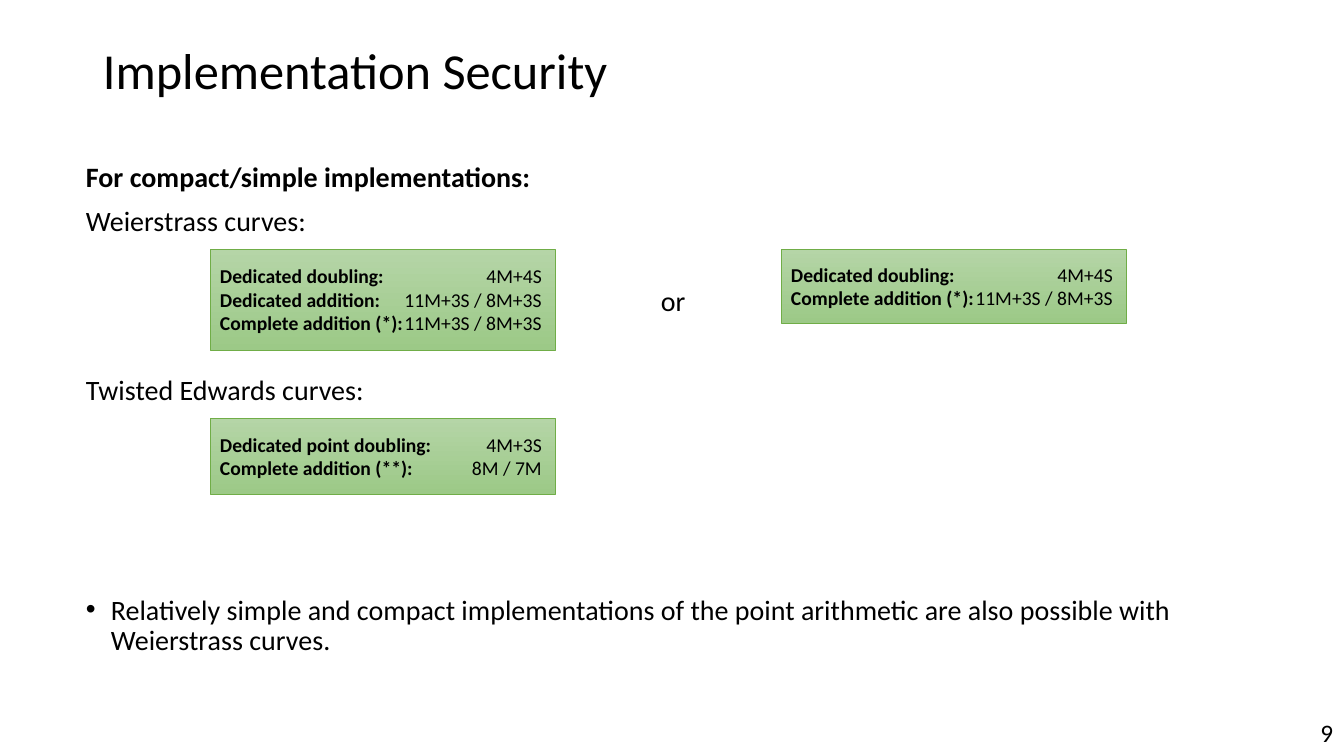
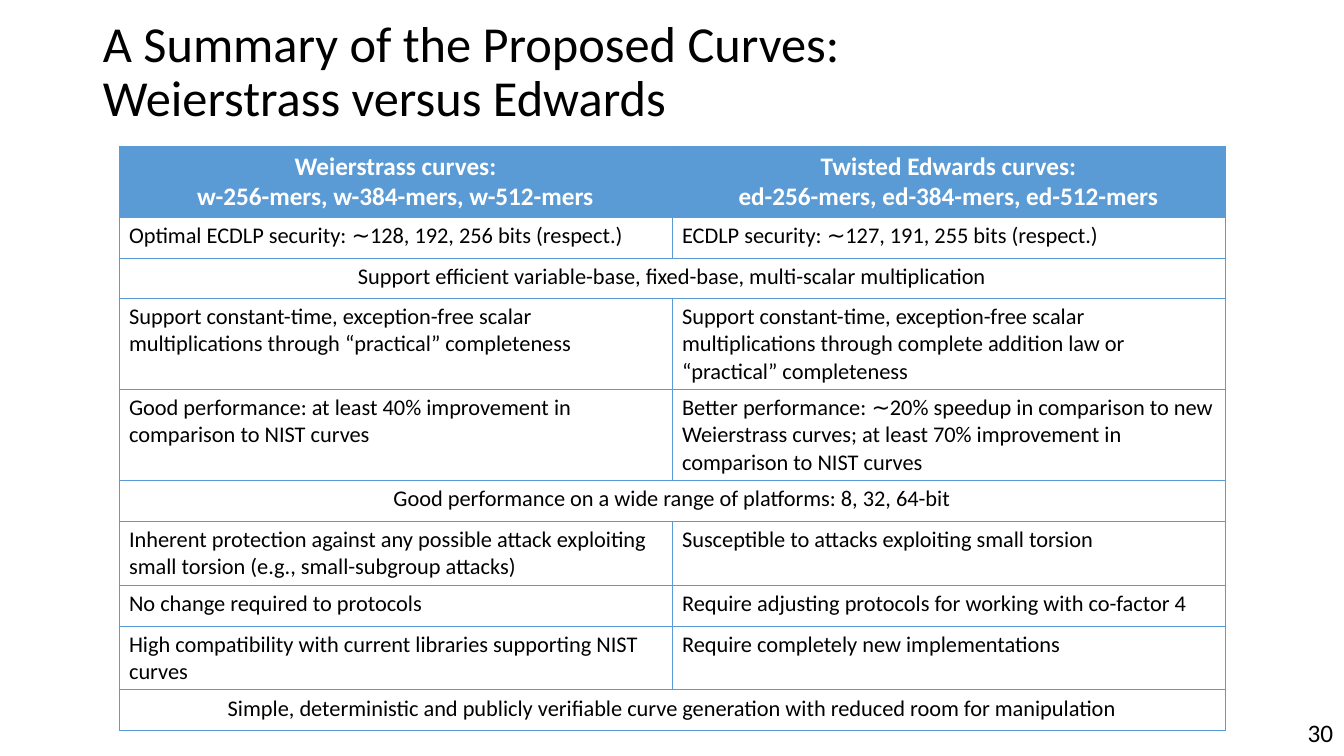
from dataclasses import dataclass

from lxml import etree
from pptx import Presentation
from pptx import util as u
from pptx.dml.color import RGBColor
from pptx.enum import shapes, text
from pptx.oxml import ns

SLIDE_WIDTH, SLIDE_HEIGHT = 1344, 756
SCALE = 12192000 / SLIDE_WIDTH


@dataclass(frozen=True)
class Theme:
    font: str = "Calibri"
    ink: str = "000000"
    paper: str = "FFFFFF"
    blue: str = "5B9BD5"
    green: str = "70AD47"
    card_top: str = "B5D5A7"
    card_bottom: str = "9CC987"
    title: int = 36
    body: int = 20
    small: int = 18
    cell: int = 16
    card: int = 14
    tight: float = 0.9
    gap: int = 10
    hairline: float = 0.5


THEME = Theme()
COSTS_WEIERSTRASS = "11M+3S / 8M+3S"
CARD_WIDTH, CARD_TAB, CARD_LEFT = 345, 322, 210

CARDS = [
    (CARD_LEFT, 249, 101, [
        ("Dedicated doubling:", "4M+4S"),
        ("Dedicated addition:", COSTS_WEIERSTRASS),
        ("Complete addition (*):", COSTS_WEIERSTRASS),
    ]),
    (781, 249, 74, [
        ("Dedicated doubling:", "4M+4S"),
        ("Complete addition (*):", COSTS_WEIERSTRASS),
    ]),
    (CARD_LEFT, 418, 76, [
        ("Dedicated point doubling:", "4M+3S"),
        ("Complete addition (**):", "8M / 7M"),
    ]),
]

CURVE_HEADINGS = [
    "Weierstrass curves:\nw-256-mers, w-384-mers, w-512-mers",
    "Twisted Edwards curves:\ned-256-mers, ed-384-mers, ed-512-mers",
]
ROW_HEIGHTS = [71, 41, 40, 91, 91, 41, 64, 41, 63, 41]
CURVE_ROWS = [
    ["Optimal ECDLP security: ∼128, 192, 256 bits (respect.)",
     "ECDLP security: ∼127, 191, 255 bits (respect.)"],
    ["Support efficient variable-base, fixed-base, multi-scalar multiplication"],
    ["Support constant-time, exception-free scalar multiplications through “practical” completeness",
     "Support constant-time, exception-free scalar multiplications through complete addition law or "
     "“practical” completeness"],
    ["Good performance: at least 40% improvement in comparison to NIST curves",
     "Better performance: ∼20% speedup in comparison to new Weierstrass curves; "
     "at least 70% improvement in comparison to NIST curves"],
    ["Good performance on a wide range of platforms: 8, 32, 64-bit"],
    ["Inherent protection against any possible attack exploiting small torsion "
     "(e.g., small-subgroup attacks)",
     "Susceptible to attacks exploiting small torsion"],
    ["No change required to protocols",
     "Require adjusting protocols for working with co-factor 4"],
    ["High compatibility with current libraries supporting NIST curves",
     "Require completely new implementations"],
    ["Simple, deterministic and publicly verifiable curve generation "
     "with reduced room for manipulation"],
]


def px(length):
    return u.Emu(round(length * SCALE))


def rgb(value):
    return RGBColor.from_string(value)


def format_run(run, size, color=THEME.ink, bold=False):
    run.font.name = THEME.font
    run.font.size = u.Pt(size)
    run.font.color.rgb = rgb(color)
    run.font.bold = bold


def format_paragraph(paragraph, size, color=THEME.ink, bold=False, align=text.PP_ALIGN.LEFT):
    paragraph.alignment = align
    for run in paragraph.runs:
        format_run(run, size, color, bold)


def add_text(slide, left, top, width, height, content, size=THEME.body,
             align=text.PP_ALIGN.LEFT, anchor=text.MSO_ANCHOR.TOP):
    frame = slide.shapes.add_textbox(px(left), px(top), px(width), px(height)).text_frame
    frame.word_wrap = True
    frame.vertical_anchor = anchor
    frame.text = content
    for index, paragraph in enumerate(frame.paragraphs):
        paragraph.line_spacing = THEME.tight
        if index:
            paragraph.space_before = u.Pt(THEME.gap)
        format_paragraph(paragraph, size, align=align)
    return frame


def add_bullet(paragraph, indent):
    properties = paragraph._p.get_or_add_pPr()
    properties.set("marL", str(px(indent)))
    properties.set("indent", str(-px(indent)))
    font = etree.SubElement(properties, ns.qn("a:buFont"))
    font.set("typeface", "Arial")
    etree.SubElement(properties, ns.qn("a:buChar")).set("char", "•")


def add_right_tab(paragraph, position):
    tabs = etree.SubElement(paragraph._p.get_or_add_pPr(), ns.qn("a:tabLst"))
    tab = etree.SubElement(tabs, ns.qn("a:tab"))
    tab.set("pos", str(px(position)))
    tab.set("algn", "r")


def add_cost_card(slide, left, top, height, costs):
    card = slide.shapes.add_shape(
        shapes.MSO_SHAPE.RECTANGLE, px(left), px(top), px(CARD_WIDTH), px(height))
    card.shadow.inherit = False
    card.fill.gradient()
    card.fill.gradient_angle = 270
    for stop, color in zip(card.fill.gradient_stops, (THEME.card_top, THEME.card_bottom)):
        stop.color.rgb = rgb(color)
    card.line.color.rgb = rgb(THEME.green)
    card.line.width = u.Pt(THEME.hairline)
    frame = card.text_frame
    frame.word_wrap = True
    frame.vertical_anchor = text.MSO_ANCHOR.MIDDLE
    for index, (label, cost) in enumerate(costs):
        paragraph = frame.add_paragraph() if index else frame.paragraphs[0]
        add_right_tab(paragraph, CARD_TAB)
        paragraph.alignment = text.PP_ALIGN.LEFT
        for content, bold in ((label, True), ("\t" + cost, False)):
            run = paragraph.add_run()
            run.text = content
            format_run(run, THEME.card, bold=bold)


def add_borders(cell):
    properties = cell._tc.get_or_add_tcPr()
    for side in ("a:lnL", "a:lnR", "a:lnT", "a:lnB"):
        line = etree.SubElement(properties, ns.qn(side))
        line.set("w", str(u.Pt(THEME.hairline)))
        fill = etree.SubElement(line, ns.qn("a:solidFill"))
        etree.SubElement(fill, ns.qn("a:srgbClr")).set("val", THEME.blue)


def fill_cell(cell, content, size, color, bold, align):
    cell.text = content
    for paragraph in cell.text_frame.paragraphs:
        format_paragraph(paragraph, size, color, bold, align)


def add_curve_table(slide, left, top, width):
    rows = [CURVE_HEADINGS] + CURVE_ROWS
    table = slide.shapes.add_table(
        len(rows), 2, px(left), px(top), px(width), px(sum(ROW_HEIGHTS))).table
    table.horz_banding = False
    for column in table.columns:
        column.width = px(width // 2)
    for index, (contents, height) in enumerate(zip(rows, ROW_HEIGHTS)):
        header = index == 0
        spanning = len(contents) == 1
        table.rows[index].height = px(height)
        cells = list(table.rows[index].cells)
        for cell in cells:
            add_borders(cell)
            cell.fill.solid()
            cell.fill.fore_color.rgb = rgb(THEME.blue if header else THEME.paper)
        if spanning:
            cells[0].merge(cells[1])
        for cell, content in zip(cells, contents):
            fill_cell(cell, content,
                      THEME.small if header else THEME.cell,
                      THEME.paper if header else THEME.ink,
                      header,
                      text.PP_ALIGN.CENTER if header or spanning else text.PP_ALIGN.LEFT)


def add_titled_slide(presentation, title, number):
    slide = presentation.slides.add_slide(presentation.slide_layouts[6])
    add_text(slide, 93, 0, 1159, 146, title, THEME.title, anchor=text.MSO_ANCHOR.MIDDLE)
    add_text(slide, 1283, 716, 60, 40, number, THEME.small, align=text.PP_ALIGN.RIGHT)
    return slide


def add_security_slide(presentation):
    slide = add_titled_slide(presentation, "Implementation Security", "9")
    opening = add_text(slide, 76, 158, 600, 86,
                       "For compact/simple implementations:\nWeierstrass curves:")
    opening.paragraphs[0].runs[0].font.bold = True
    add_text(slide, 651, 282, 60, 40, "or")
    add_text(slide, 76, 371, 600, 40, "Twisted Edwards curves:")
    for card in CARDS:
        add_cost_card(slide, *card)
    conclusion = add_text(
        slide, 76, 591, 1195, 72,
        "Relatively simple and compact implementations of the point arithmetic "
        "are also possible with Weierstrass curves.")
    add_bullet(conclusion.paragraphs[0], 25)


def add_summary_slide(presentation):
    slide = add_titled_slide(
        presentation, "A Summary of the Proposed Curves:\vWeierstrass versus Edwards", "30")
    add_curve_table(slide, 119, 146, 1106)


def main():
    presentation = Presentation()
    presentation.slide_width = px(SLIDE_WIDTH)
    presentation.slide_height = px(SLIDE_HEIGHT)
    add_security_slide(presentation)
    add_summary_slide(presentation)
    presentation.save("out.pptx")


if __name__ == "__main__":
    main()
